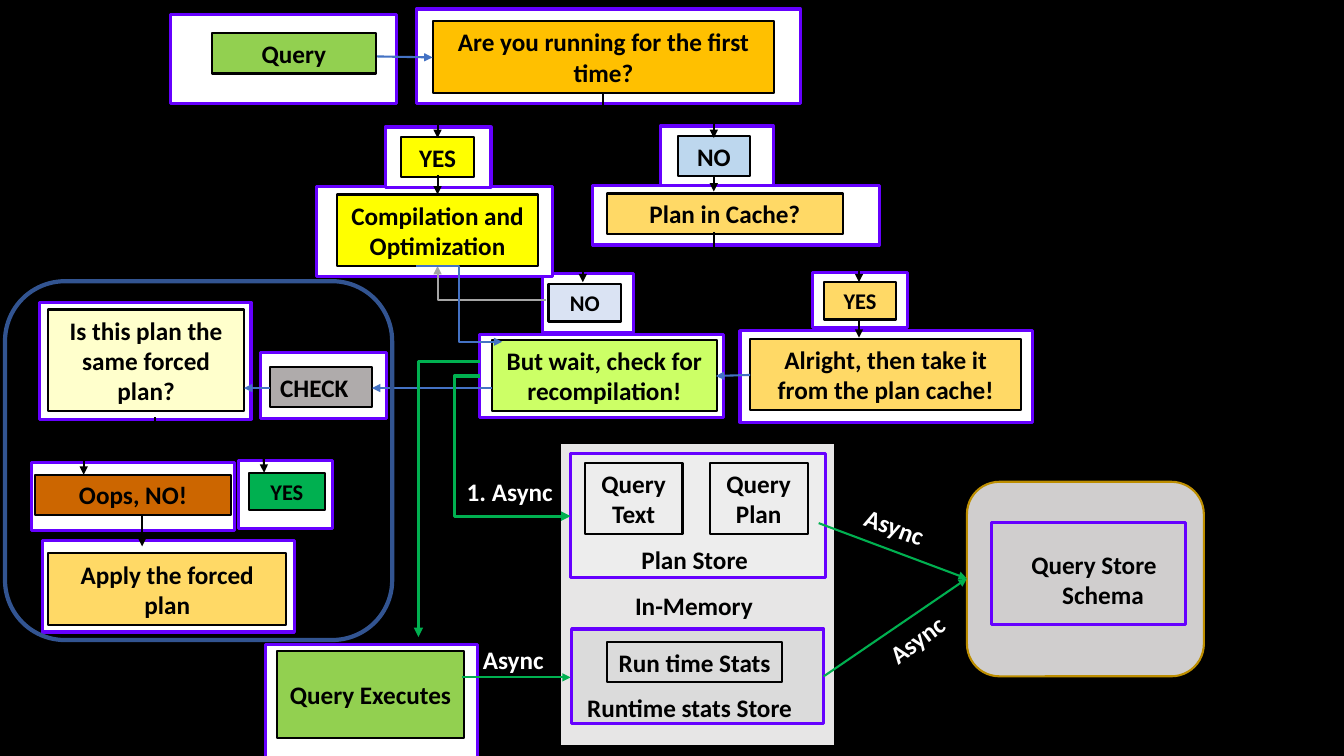
from lxml.etree import SubElement
from pptx import Presentation
from pptx.dml.color import RGBColor
from pptx.enum.shapes import MSO_CONNECTOR, MSO_SHAPE
from pptx.enum.text import MSO_ANCHOR, MSO_AUTO_SIZE, PP_ALIGN
from pptx.oxml.ns import qn
from pptx.util import Inches, Pt

BLACK, WHITE, PURPLE = "000000", "FFFFFF", "6600FF"
BLUE, GRAY, GREEN = "4472C4", "A5A5A5", "00B050"
AMBER, YELLOW, LIME = "FFD966", "FFFF00", "92D050"
LEFT, CENTER = PP_ALIGN.LEFT, PP_ALIGN.CENTER

# Places are (left, top, width, height) in inches, listed from back to front.
LOWER_FRAMES = [(5.67, 6.28, 2.52, 1.12), (2.63, 6.39, 2.11, 1.13)]
MEMORY_PANEL = (5.55, 4.39, 2.73, 3.01)
STEP_FRAMES = [
    (2.37, 4.57, 0.93, 0.67), (0.42, 5.36, 2.5, 0.91),
    (0.31, 4.59, 2.02, 0.67), (0.39, 3, 2.1, 1.16),
    (2.58, 3.5, 1.25, 0.65), (4.76, 3.32, 2.42, 0.82),
    (7.34, 3.28, 2.9, 0.91), (8.06, 2.7, 0.94, 0.55),
    (5.38, 2.71, 0.9, 0.59), (5.88, 1.84, 2.84, 0.59),
    (6.55, 1.25, 1.12, 0.59), (3.14, 1.85, 2.34, 0.89),
    (3.82, 1.26, 1.05, 0.6), (4.13, 0.09, 3.81, 0.94),
    (1.69, 0.14, 2.24, 0.89),
]
STORE_PANELS = [((5.66, 4.5, 2.53, 1.23), "EDEDED"), ((5.67, 6.24, 2.5, 0.94), "DBDBDB")]
SCHEMA_PANEL, SCHEMA_FRAME = (9.59, 4.78, 2.35, 1.93), (9.83, 5.18, 1.93, 1.02)
FORCED_PLAN_OUTLINE = (0.05, 2.79, 3.84, 3.56)

# text, place, fill, text size, alignment
STEPS = [
    ("Query", (2.1, 0.33, 1.63, 0.4), LIME, 18, CENTER),
    ("Are you running for the first time?", (4.29, 0.21, 3.39, 0.71), "FFC000", 18, CENTER),
    ("YES", (3.98, 1.36, 0.72, 0.4), YELLOW, 18, CENTER),
    ("NO", (6.72, 1.35, 0.72, 0.4), "BDD7EE", 18, CENTER),
    ("Compilation and Optimization", (3.34, 1.93, 2, 0.71), YELLOW, 18, CENTER),
    ("Plan in Cache?", (6.02, 1.92, 2.34, 0.4), AMBER, 18, CENTER),
    ("NO", (5.44, 2.82, 0.72, 0.37), "DAE3F3", 16, CENTER),
    ("YES", (8.17, 2.8, 0.72, 0.37), AMBER, 16, CENTER),
    ("Alright, then take it from the plan cache!", (7.44, 3.36, 2.69, 0.71), AMBER, 18, CENTER),
    ("But wait, check for recompilation!", (4.88, 3.37, 2.23, 0.71), "CCFF66", 18, CENTER),
    ("CHECK", (2.68, 3.64, 1.01, 0.4), "AFABAB", 18, LEFT),
    ("Is this plan the same forced plan?", (0.48, 3.07, 1.94, 1.01), "FFFFCC", 18, CENTER),
    ("Oops, NO!", (0.35, 4.71, 1.94, 0.4), "CC6600", 18, CENTER),
    ("Apply the forced plan", (0.48, 5.49, 2.36, 0.71), AMBER, 18, CENTER),
    ("YES", (2.47, 4.69, 0.75, 0.37), GREEN, 16, CENTER),
    ("Query Text", (5.8, 4.59, 0.97, 0.71), None, 18, CENTER),
    ("Query Plan", (7.04, 4.59, 0.97, 0.71), None, 18, CENTER),
    ("Run time Stats", (6.02, 6.37, 1.74, 0.4), None, 18, CENTER),
    ("Query Executes", (2.75, 6.46, 1.85, 0.86), LIME, 18, CENTER),
]

# lines of text with alignment, place, colour, rotation
LABELS = [
    ([("Async", LEFT)], (4.69, 6.34, 1.45, 0.4), WHITE, 0),
    ([("1. Async", LEFT)], (4.53, 4.68, 1.45, 0.4), WHITE, 0),
    ([("Async", LEFT)], (8.47, 5.04, 0.9, 0.4), WHITE, 20.6),
    ([("Async", LEFT)], (8.68, 6.11, 0.9, 0.4), WHITE, 322.9),
    ([("Plan Store", CENTER)], (5.89, 5.34, 2, 0.42), BLACK, 0),
    ([("Runtime stats Store", CENTER)], (5.66, 6.82, 2.36, 0.4), BLACK, 0),
    ([("In-Memory", LEFT)], (6.2, 5.81, 2.15, 0.4), BLACK, 0),
    ([("Query Store", LEFT), ("Schema", CENTER)], (10.13, 5.39, 1.62, 0.71), BLACK, 0),
]

# start x, start y, end x, end y
BRANCH_LINES = [
    (5.98, 0.92, 5.98, 1.1), (4.34, 1.11, 7.08, 1.11),
    (7.08, 2.3, 7.08, 2.53), (5.78, 2.53, 8.53, 2.53),
    (1.54, 4.14, 1.54, 4.34), (0.83, 4.34, 2.63, 4.34),
]
ARROWS = {
    BLACK: [
        (4.34, 1.11, 4.34, 1.37), (7.08, 1.11, 7.08, 1.37),
        (4.34, 1.74, 4.34, 1.93), (7.08, 1.75, 7.08, 1.9),
        (5.78, 2.53, 5.78, 2.8), (8.52, 2.53, 8.52, 2.8),
        (8.52, 3.17, 8.52, 3.35), (1.41, 5.11, 1.41, 5.42),
        (0.83, 4.34, 0.83, 4.71), (2.61, 4.34, 2.62, 4.69),
    ],
    BLUE: [
        (3.74, 0.56, 4.29, 0.57), (7.44, 3.72, 7.1, 3.73),
        (4.88, 3.85, 3.69, 3.85), (2.68, 3.85, 2.42, 3.85),
    ],
    GREEN: [
        (4.58, 6.72, 5.66, 6.72), (8.12, 5.19, 9.59, 5.74),
        (8.17, 6.71, 9.59, 5.74),
    ],
}
# ends, colour, width, bend position (None for a single corner)
ELBOWS = [
    ((5.42, 2.98, 4.34, 2.64), GRAY, 1.5, None),
    ((4.13, 2.64, 4.98, 3.39), BLUE, 1.5, 0.5),
    ((4.76, 3.59, 4.15, 6.32), GREEN, 2.25, None),
    ((4.76, 3.73, 5.66, 5.12), GREEN, 2.25, -0.28),
]


def color(code):
    return RGBColor.from_string(code)


def add_box(place, fill, line, width, kind=MSO_SHAPE.RECTANGLE):
    box = page.shapes.add_shape(kind, *map(Inches, place))
    box.shadow.inherit = False
    if fill:
        box.fill.solid()
        box.fill.fore_color.rgb = color(fill)
    else:
        box.fill.background()
    box.line.color.rgb = color(line)
    box.line.width = Pt(width)
    return box


def write(box, lines, size, ink):
    frame = box.text_frame
    layout = {"word_wrap": True, "auto_size": MSO_AUTO_SIZE.NONE,
              "vertical_anchor": MSO_ANCHOR.MIDDLE}
    for name, value in layout.items():
        setattr(frame, name, value)
    for index, (text, alignment) in enumerate(lines):
        para = frame.add_paragraph() if index else frame.paragraphs[0]
        para.alignment = alignment
        span = para.add_run()
        span.text = text
        for name, value in {"name": "Calibri", "size": Pt(size), "bold": True}.items():
            setattr(span.font, name, value)
        span.font.color.rgb = color(ink)


def add_line(ends, ink, width=1.5, arrow=True, kind=MSO_CONNECTOR.STRAIGHT):
    line = page.shapes.add_connector(kind, *map(Inches, ends))
    line.line.color.rgb = color(ink)
    line.line.width = Pt(width)
    if arrow:
        SubElement(line.line._get_or_add_ln(), qn("a:tailEnd"), type="triangle")
    SubElement(line._element.spPr, qn("a:effectLst"))
    return line


def add_elbow(ends, ink, width, bend):
    line = add_line(ends, ink, width, kind=MSO_CONNECTOR.ELBOW)
    geometry = line._element.spPr.find(qn("a:prstGeom"))
    if bend is None:
        geometry.set("prst", "bentConnector2")
    else:
        guides = geometry.find(qn("a:avLst"))
        SubElement(guides, qn("a:gd"), name="adj1", fmla=f"val {round(bend * 100000)}")


deck = Presentation()
deck.slide_width, deck.slide_height = Inches(13.33), Inches(7.5)
page = deck.slides.add_slide(deck.slide_layouts[6])
page.background.fill.solid()
page.background.fill.fore_color.rgb = color(BLACK)

for place in LOWER_FRAMES:
    add_box(place, WHITE, PURPLE, 2.25)
add_box(MEMORY_PANEL, "E7E6E6", BLACK, 1.5)
for place in STEP_FRAMES:
    add_box(place, WHITE, PURPLE, 2.25)
for place, fill in STORE_PANELS:
    add_box(place, fill, PURPLE, 2.25)
add_box(SCHEMA_PANEL, "D0CECE", "BD8E00", 1.5, MSO_SHAPE.ROUNDED_RECTANGLE)
add_box(SCHEMA_FRAME, None, PURPLE, 2.25)

for text, place, fill, size, alignment in STEPS:
    write(add_box(place, fill, BLACK, 1.5), [(text, alignment)], size, BLACK)
for lines, place, ink, rotation in LABELS:
    label = page.shapes.add_textbox(*map(Inches, place))
    label.rotation = rotation
    write(label, lines, 18, ink)

for ends in BRANCH_LINES:
    add_line(ends, BLACK, arrow=False)
for ink, arrows in ARROWS.items():
    for ends in arrows:
        add_line(ends, ink)
for elbow in ELBOWS:
    add_elbow(*elbow)
add_box(FORCED_PLAN_OUTLINE, None, "325491", 3, MSO_SHAPE.ROUNDED_RECTANGLE)

deck.save("out.pptx")
